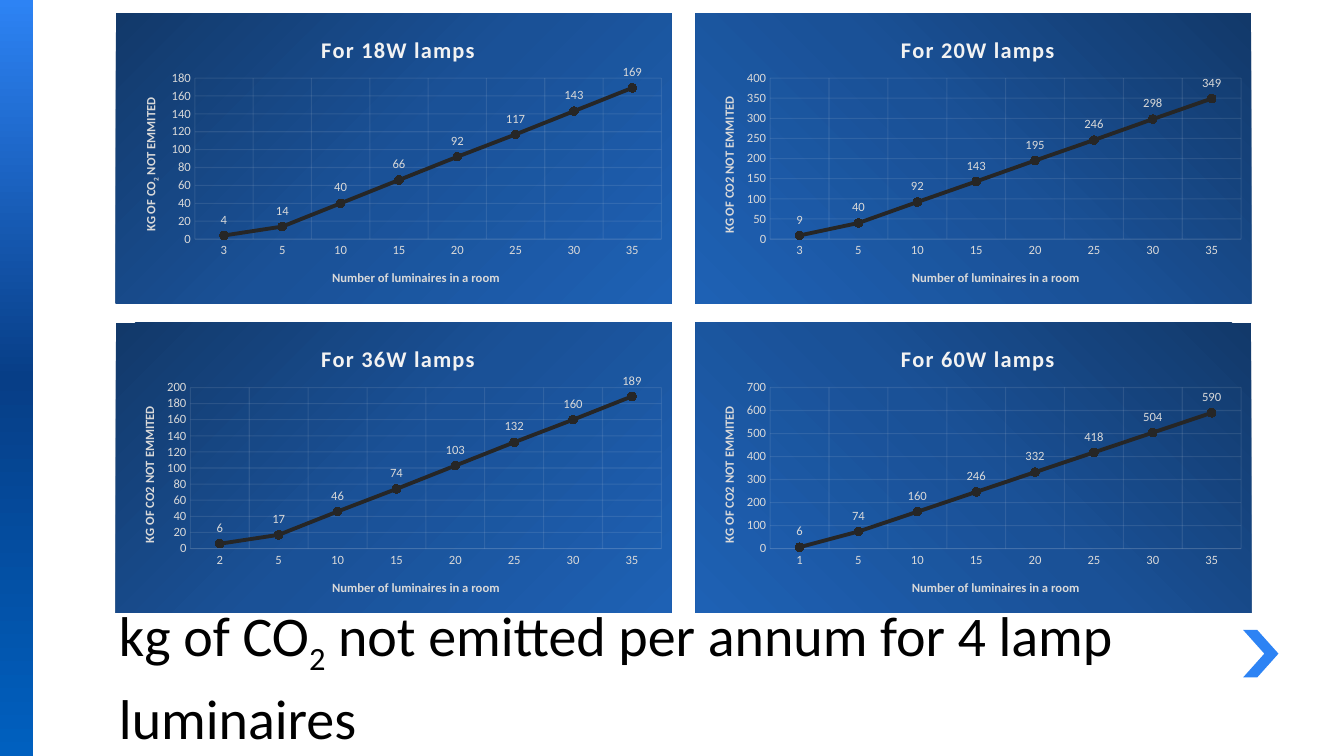
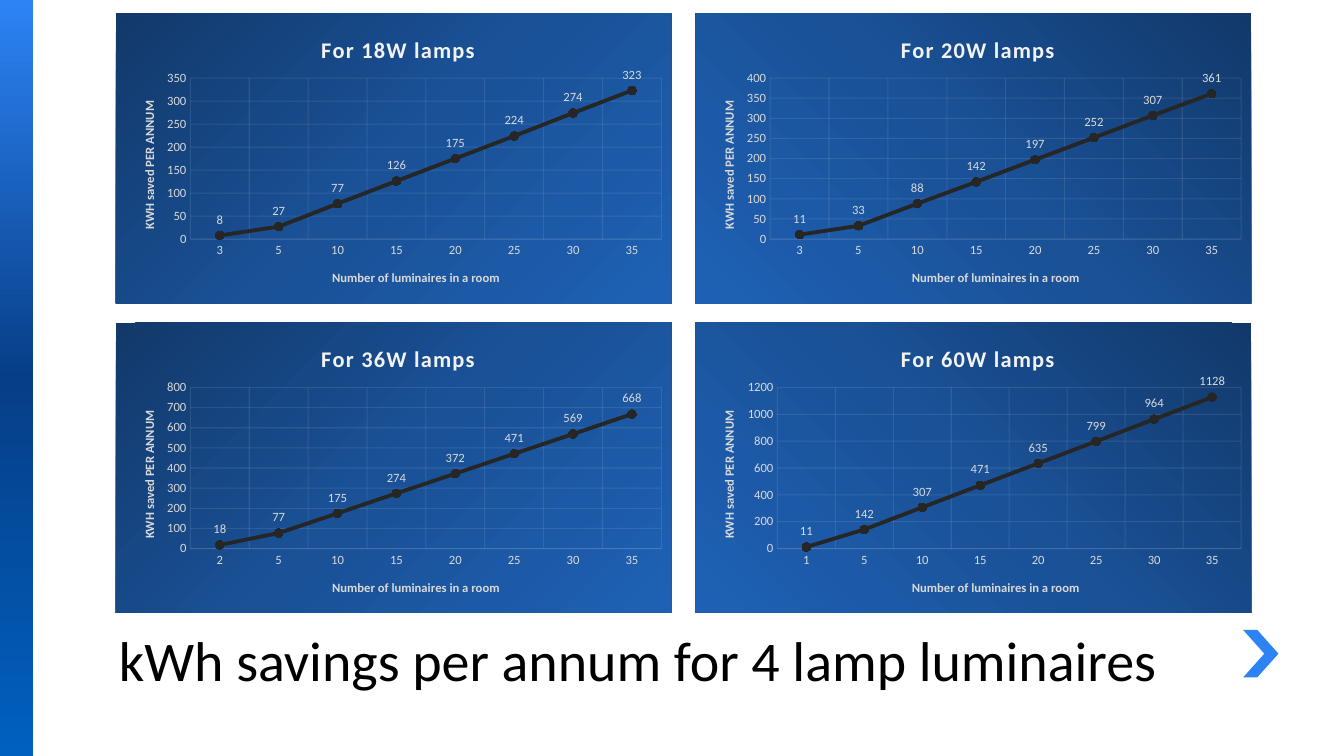
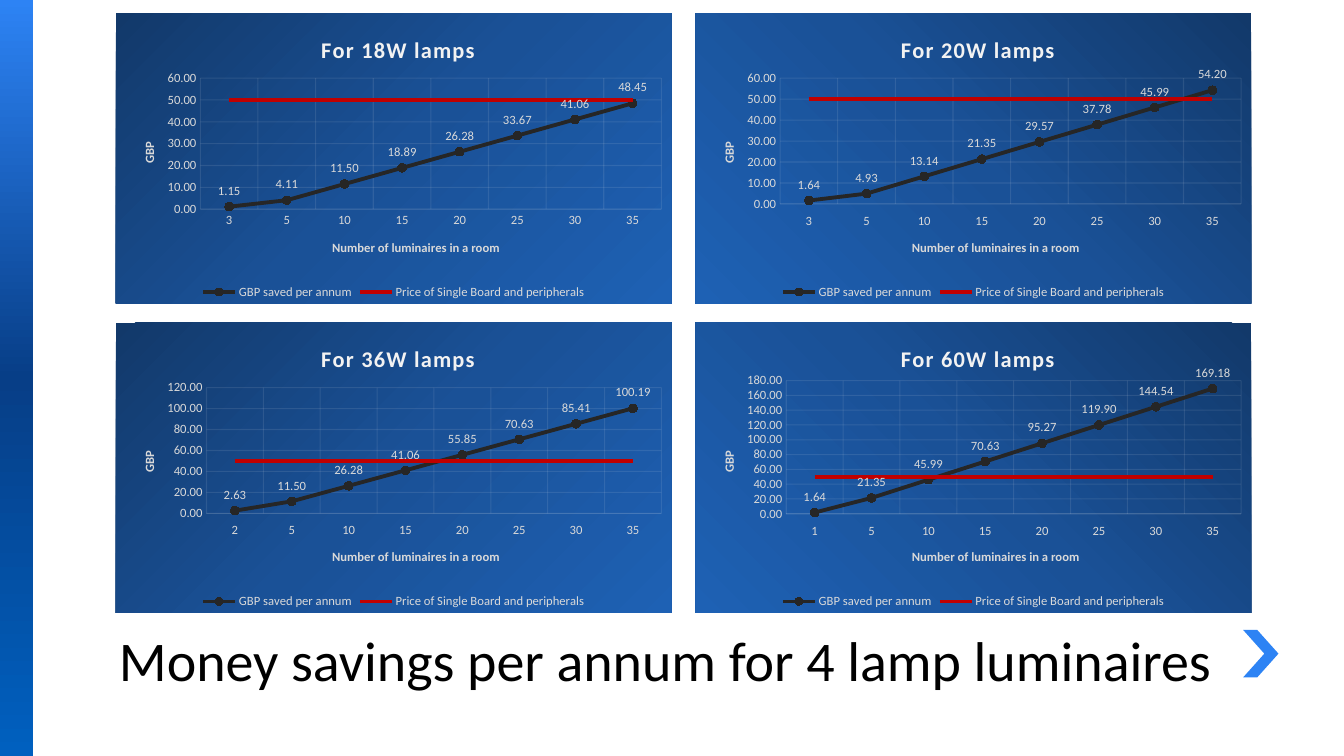
from dataclasses import dataclass

from pptx import Presentation
from pptx import util as u
from pptx.chart import data as cd
from pptx.dml.color import RGBColor
from pptx.enum import chart as ch
from pptx.enum import shapes, text
from pptx.oxml import parse_xml
from pptx.oxml.ns import nsdecls, qn


@dataclass(frozen=True)
class Theme:
    """Colours, type sizes and gradients of the deck."""
    font: str = "Calibri"
    ink: str = "000000"
    accent: str = "2D83F4"
    pale: str = "F2F2F2"
    label: str = "D9D9D9"
    line: str = "262626"
    price: str = "C00000"
    title_sz: int = 40
    chart_title_sz: int = 16
    chart_sz: int = 10
    small_sz: int = 9
    line_w: float = 2.75
    band: tuple = ((0, "2D83F4"), (50, "073E87"), (100, "0060BF"))
    panel: tuple = ((0, "12396A"), (50, "1A5197"), (100, "1E61B4"))


@dataclass(frozen=True)
class Panel:
    """Data and plot place of one chart, as fractions of its box."""
    vals: tuple
    left: float = 0.134
    top: float = 0.224
    height: float = 0.555
    low: bool = False
    unit: str = ""


@dataclass(frozen=True)
class Page:
    """Wording and shared chart settings of one slide."""
    title: str
    title_h: float
    unit: str
    unit_y: float
    cat_y: float
    fmt: str
    label_fmt: str
    panels: tuple
    price: int = 0


T = Theme()
LAMPS = (("18W", 3), ("20W", 3), ("36W", 2), ("60W", 1))
STEPS = range(5, 36, 5)
PRICE_NAME = "Price of Single Board and peripherals"
SMALL = {"name": T.font, "size": u.Pt(T.small_sz), "color": T.label, "bold": False}
AXIS_TITLE = {**SMALL, "bold": True}
CHART_TITLE = {"name": T.font, "size": u.Pt(T.chart_title_sz), "color": T.pale, "bold": True}
SLIDE_TITLE = {"name": T.font, "size": u.Pt(T.title_sz), "color": T.ink}

PAGES = (
    Page("kg of CO~2~ not emitted per annum for 4 lamp luminaires", 1.47,
         "KG OF CO2 NOT EMMITED", 0.28, 0.876, "0", "0", (
             Panel((4, 14, 40, 92 - 26, 92, 117, 143, 169), left=0.142,
                   unit="KG OF CO~2~ NOT EMMITED"),
             Panel((9, 40, 92, 143, 195, 246, 298, 349)),
             Panel((6, 17, 46, 74, 103, 132, 160, 189)),
             Panel((6, 74, 160, 246, 332, 418, 504, 590)))),
    Page("kWh savings per annum for 4 lamp luminaires", 0.89,
         "KWH saved PER ANNUM", 0.295, 0.876, "0", "0", (
             Panel((8, 27, 77, 126, 175, 224, 274, 323)),
             Panel((11, 33, 88, 142, 197, 252, 307, 361)),
             Panel((18, 77, 175, 274, 372, 471, 569, 668)),
             Panel((11, 142, 307, 471, 635, 799, 964, 1128), left=0.147))),
    Page("Money savings per annum for 4 lamp luminaires", 0.89,
         "GBP", 0.435, 0.772, "#,##0.00", "0.00", (
             Panel((1.15, 4.11, 11.50, 18.89, 26.28, 33.67, 41.06, 48.45),
                   left=0.152, height=0.452),
             Panel((1.64, 4.93, 13.14, 21.35, 29.57, 37.78, 45.99, 54.20),
                   left=0.152, height=0.434, low=True),
             Panel((2.63, 11.50, 26.28, 41.06, 55.85, 70.63, 85.41, 100.19),
                   left=0.163, height=0.434, low=True),
             Panel((1.64, 21.35, 45.99, 70.63, 95.27, 119.90, 144.54, 169.18),
                   left=0.163, top=0.2, height=0.459, low=True)), price=50),
)


def style(font, fmt):
    """Set font attributes from a dict."""
    for key, value in fmt.items():
        if key == "color":
            font.color.rgb = RGBColor.from_string(value)
        else:
            setattr(font, key, value)


def write(p, words, fmt, **attrs):
    """Write runs into a paragraph; parts between tildes are subscript."""
    for i, part in enumerate(words.split("~")):
        r = p.add_run()
        r.text = part
        style(r.font, fmt)
        props = r._r.get_or_add_rPr()
        for key, value in attrs.items():
            props.set(key, value)
        if i % 2:
            props.set("baseline", "-25000")


def gradient(stops, angle):
    """Return a linear gradient fill element."""
    marks = "".join(f'<a:gs pos="{pos * 1000}"><a:srgbClr val="{c}"/></a:gs>' for pos, c in stops)
    return parse_xml(f'<a:gradFill {nsdecls("a")} rotWithShape="1"><a:gsLst>{marks}</a:gsLst>'
                     f'<a:lin ang="{angle * 60000}" scaled="0"/></a:gradFill>')


def set_layout(element, x, y, size=None):
    """Give a chart title or plot area a manual place."""
    modes = [("xMode", "edge"), ("yMode", "edge"), ("x", x), ("y", y)]
    if size:
        modes += [("w", round(size[0], 3)), ("h", size[1])]
    inner = '<c:layoutTarget val="inner"/>' if size else ""
    tags = "".join(f'<c:{k} val="{v}"/>' for k, v in modes)
    layout = parse_xml(f'<c:layout {nsdecls("c")}><c:manualLayout>{inner}{tags}'
                       '</c:manualLayout></c:layout>')
    old = element.find(qn("c:layout"))
    if old is not None:
        element.remove(old)
    tx = element.find(qn("c:tx"))
    if tx is None:
        element.insert(0, layout)
    else:
        tx.addnext(layout)


def set_line(line, color, width):
    """Set a solid line."""
    line.color.rgb = RGBColor.from_string(color)
    line.width = u.Pt(width)


def add_title(title, words, fmt, x, y, **attrs):
    """Write and place a chart or axis title."""
    write(title.text_frame.paragraphs[0], words, fmt, **attrs)
    set_layout(title.element, x, y)


def format_axes(chart, page, panel):
    """Format both axes, their grids and their titles."""
    cat, val = chart.category_axis, chart.value_axis
    for axis in (cat, val):
        for key, value in {"has_major_gridlines": True, "major_tick_mark": ch.XL_TICK_MARK.NONE,
                           "minor_tick_mark": ch.XL_TICK_MARK.NONE}.items():
            setattr(axis, key, value)
        set_line(axis.major_gridlines.format.line, T.pale, 0.75)
        style(axis.tick_labels.font, SMALL)
    set_line(cat.format.line, T.pale, 0.75)
    val.format.line.fill.background()
    if panel.low:
        cat.tick_label_position = ch.XL_TICK_LABEL_POSITION.LOW
    val.tick_labels.number_format = page.fmt
    val.tick_labels.number_format_is_linked = False
    for color in chart.element.xpath(".//c:majorGridlines//a:srgbClr | .//c:catAx/c:spPr//a:srgbClr"):
        color.append(parse_xml(f'<a:alpha {nsdecls("a")} val="10000"/>'))
    add_title(cat.axis_title, "Number of luminaires in a room", AXIS_TITLE, 0.385, page.cat_y)
    add_title(val.axis_title, panel.unit or page.unit, AXIS_TITLE, 0.041, page.unit_y)
    body = val.axis_title.element.find(".//" + qn("a:bodyPr"))
    for key, value in {"rot": "-5400000", "vert": "horz"}.items():
        body.set(key, value)


def format_series(chart, page):
    """Format the savings line and, if present, the price line."""
    for s, color in zip(chart.plots[0].series, (T.line, T.price)):
        s.smooth = False
        set_line(s.format.line, color, T.line_w)
        s.marker.style = ch.XL_MARKER_STYLE.NONE
    s = chart.plots[0].series[0]
    s.marker.style, s.marker.size = ch.XL_MARKER_STYLE.CIRCLE, 6
    s.marker.format.fill.solid()
    s.marker.format.fill.fore_color.rgb = RGBColor.from_string(T.line)
    set_line(s.marker.format.line, T.line, 0.75)
    labels = s.data_labels
    for key, value in {"show_value": True, "position": ch.XL_LABEL_POSITION.ABOVE,
                       "number_format": page.label_fmt,
                       "number_format_is_linked": False}.items():
        setattr(labels, key, value)
    style(labels.font, SMALL)


def add_panel(slide, box, page, panel, lamp, angle):
    """Add one lamp chart in the given box."""
    power, first = lamp
    data = cd.CategoryChartData()
    data.categories = [str(n) for n in (first, *STEPS)]
    data.add_series("GBP saved per annum" if page.price else "Series 1", panel.vals)
    if page.price:
        data.add_series(PRICE_NAME, [page.price] * len(panel.vals))
    chart = slide.shapes.add_chart(ch.XL_CHART_TYPE.LINE_MARKERS, *map(u.Inches, box), data).chart
    style(chart.font, {"name": T.font, "size": u.Pt(T.chart_sz), "color": T.ink})
    chart.plots[0].vary_by_categories = False
    chart.has_legend = bool(page.price)
    if chart.has_legend:
        chart.legend.position = ch.XL_LEGEND_POSITION.BOTTOM
        chart.legend.include_in_layout = False
        style(chart.legend.font, SMALL)
    chart.has_title = True
    add_title(chart.chart_title, f"For {power} lamps", CHART_TITLE, 0.362, 0.06, spc="100")
    format_axes(chart, page, panel)
    format_series(chart, page)
    plot = chart.element.find(".//" + qn("c:plotArea"))
    set_layout(plot, panel.left, panel.top, (0.982 - panel.left, panel.height))
    back = parse_xml(f'<c:spPr {nsdecls("c", "a")}><a:ln><a:noFill/></a:ln></c:spPr>')
    back.insert(0, gradient(T.panel, angle))
    chart.element.find(qn("c:chart")).addnext(back)


def add_panels(slide, page, x, y):
    """Lay the four charts out in a two by two grid from x, y."""
    w, h, step_x, step_y = 5.51, 2.88, 5.75, 3.07
    for i, (panel, lamp) in enumerate(zip(page.panels, LAMPS)):
        row, col = divmod(i, 2)
        add_panel(slide, (x + col * step_x, y + row * step_y, w, h), page, panel, lamp,
                  135 if col else 45)


def add_band(slide, x, y, w, h):
    """Add the gradient side band."""
    sp = slide.shapes.add_shape(shapes.MSO_SHAPE.RECTANGLE, *map(u.Inches, (x, y, w, h)))
    sp.shadow.inherit = False
    sp.line.fill.background()
    sp.fill.background()
    props = sp.element.spPr
    props.replace(props.find(qn("a:noFill")), gradient(T.band, 90))
    return sp


def add_chevron(slide, x, y, w, h):
    """Add the chevron that points right."""
    arm = 0.4 * w
    points = [(arm, 0), (0, 0), (w - arm, h / 2), (0, h), (arm, h), (w, h / 2)]
    pts = [(u.Inches(x + dx), u.Inches(y + dy)) for dx, dy in points]
    builder = slide.shapes.build_freeform(*pts[0])
    builder.add_line_segments(pts[1:], close=True)
    sp = builder.convert_to_shape()
    sp.shadow.inherit = False
    sp.line.fill.background()
    sp.fill.solid()
    sp.fill.fore_color.rgb = RGBColor.from_string(T.accent)
    return sp


def decorate(layout, slide):
    """Move the shared band and chevron from a slide to its layout."""
    for sp in (add_band(slide, 0, 0, 0.33, 7.5), add_chevron(slide, 12.33, 6.25, 0.35, 0.47)):
        layout.shapes.element.append(sp.element)


def add_heading(slide, words, x, y, w, h):
    """Place and write the slide title."""
    sp = slide.shapes.title
    for key, value in zip(("left", "top", "width", "height"), (x, y, w, h)):
        setattr(sp, key, u.Inches(value))
    tf = sp.text_frame
    for key, value in {"word_wrap": True, "auto_size": text.MSO_AUTO_SIZE.NONE,
                       "vertical_anchor": text.MSO_ANCHOR.BOTTOM}.items():
        setattr(tf, key, value)
    p = tf.paragraphs[0]
    p.alignment, p.line_spacing = text.PP_ALIGN.LEFT, 1.1
    write(p, words, SLIDE_TITLE)


def main():
    """Build and save the deck."""
    prs = Presentation()
    prs.slide_width, prs.slide_height = u.Inches(13.33), u.Inches(7.5)
    layout = prs.slide_layouts[5]
    for ph in list(layout.placeholders):
        if ph.placeholder_format.type != shapes.PP_PLACEHOLDER.TITLE:
            layout.shapes.element.remove(ph.element)
    for i, page in enumerate(PAGES):
        slide = prs.slides.add_slide(layout)
        if i == 0:
            decorate(layout, slide)
        add_heading(slide, page.title, 1.08, 6.03, 11.81, page.title_h)
        add_panels(slide, page, 1.15, 0.13)
    prs.save("out.pptx")


if __name__ == "__main__":
    main()
